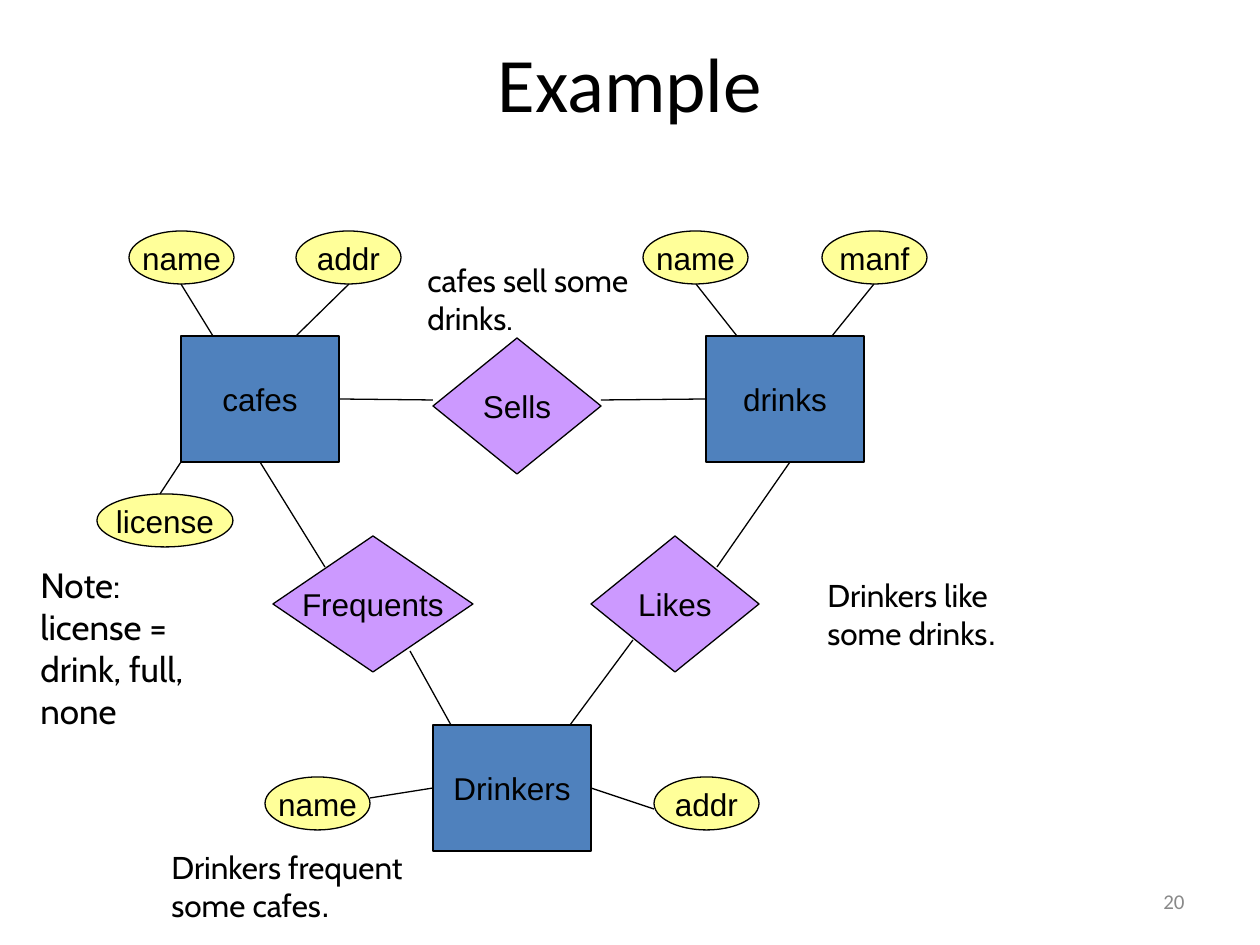
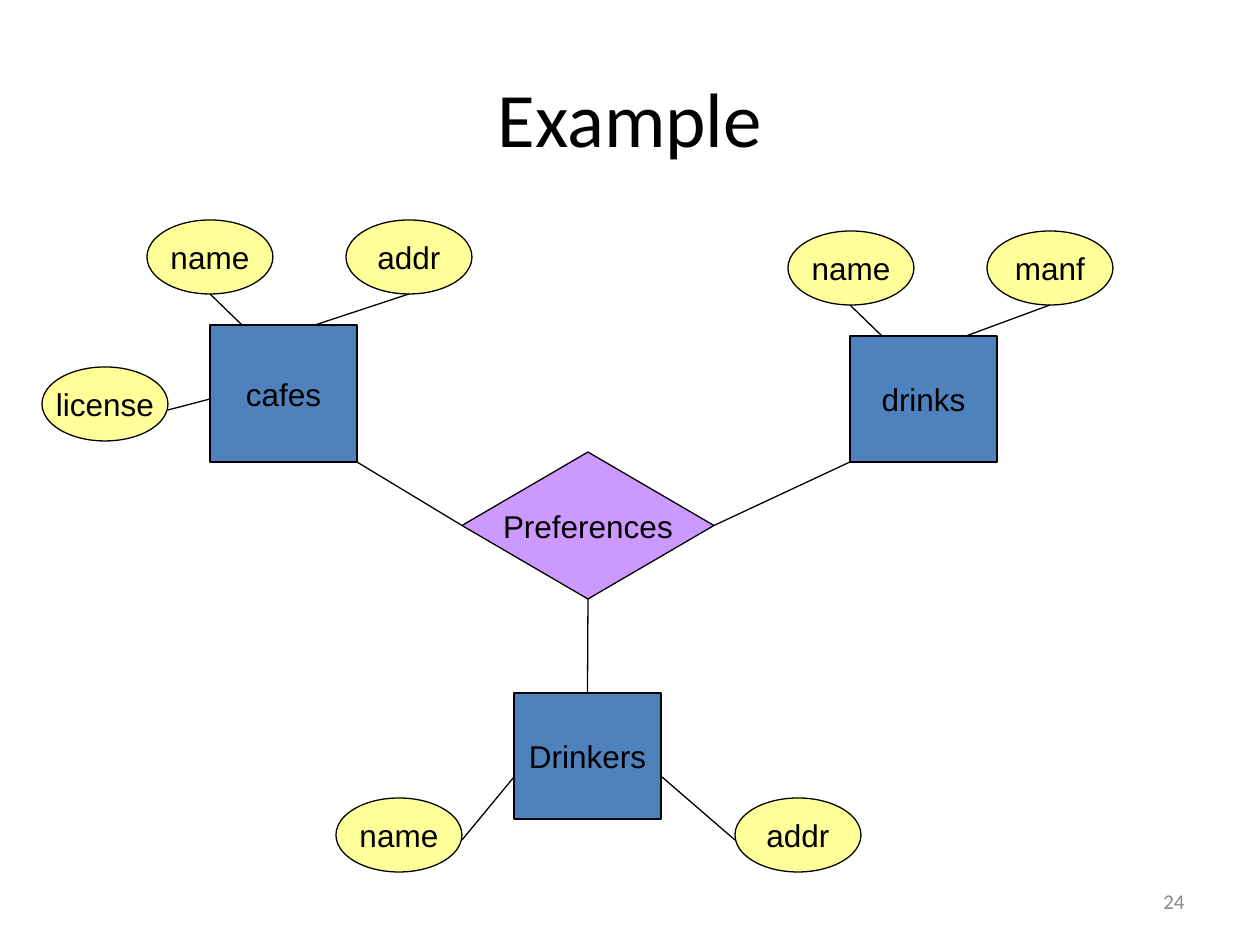
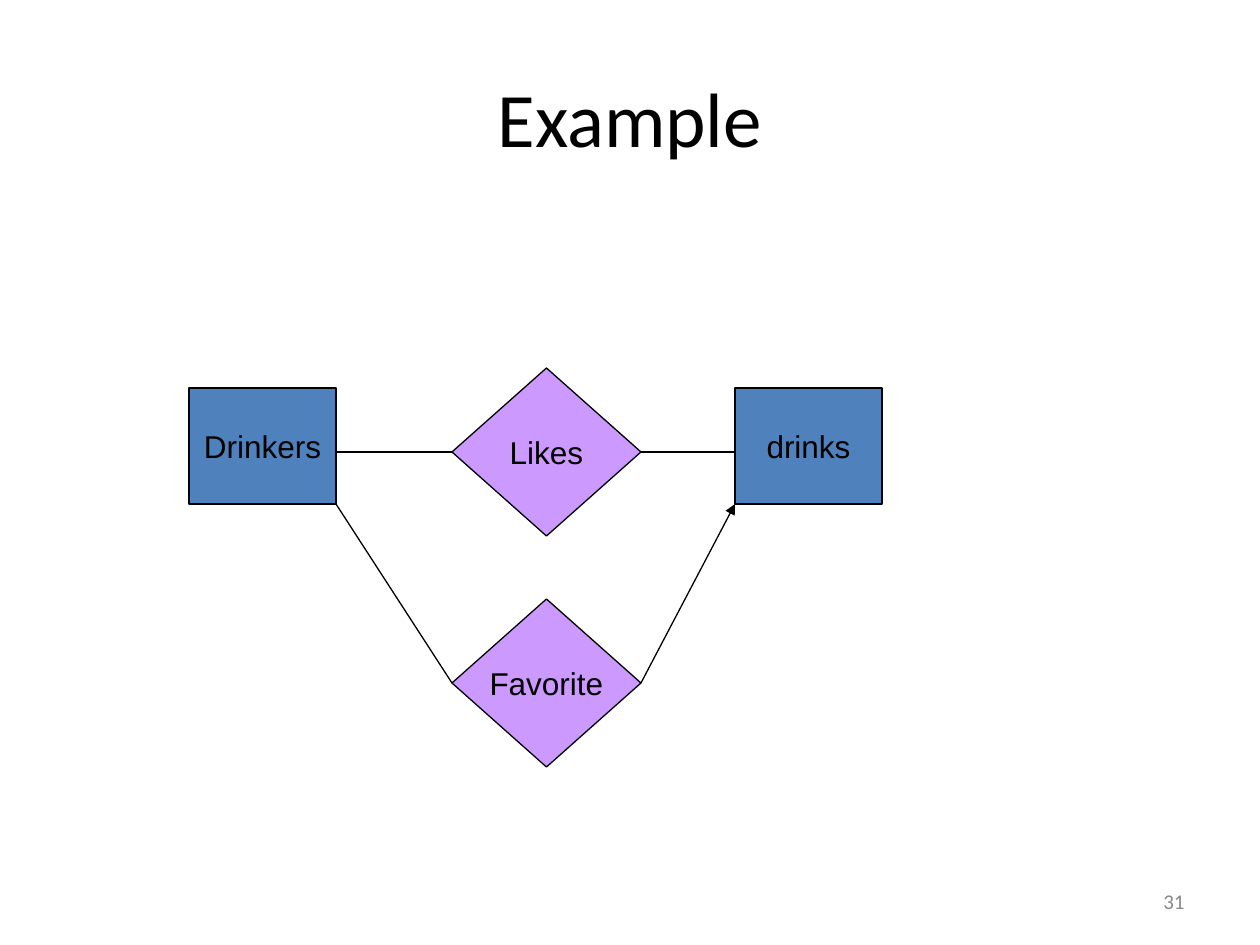
"""Build three entity-relationship example slides."""
from lxml.etree import SubElement
from pptx import Presentation
from pptx.dml.color import RGBColor
from pptx.enum.shapes import MSO_CONNECTOR as Connector, MSO_SHAPE as Shape
from pptx.enum.text import MSO_ANCHOR as Anchor, MSO_AUTO_SIZE as AutoSize, PP_ALIGN as Align
from pptx.oxml.ns import qn
from pptx.util import Emu, Pt

PX = 914400 / 126
TOP, LEFT, BOTTOM, RIGHT = range(4)
BLACK, GREY = "000000", "898989"
KINDS = {
    "entity": (Shape.RECTANGLE, "4F81BD"),
    "attribute": (Shape.OVAL, "FFFF99"),
    "relationship": (Shape.DIAMOND, "CC99FF"),
}
TITLE = {"size": 44, "fonts": ["Calibri"], "align": Align.CENTER}
NUMBER = {"size": 12, "fonts": ["Calibri"], "align": Align.RIGHT, "color": GREY}
LABEL = {"size": 18, "fonts": ["Arial"], "align": Align.CENTER}
NOTE_FONTS = ["Cabin", "Arial"]
CENTRED = {"vertical_anchor": Anchor.MIDDLE, "word_wrap": True}
NODE_FRAME = {"vertical_anchor": Anchor.MIDDLE, "word_wrap": False}
NOTE_FRAME = {"word_wrap": False, "auto_size": AutoSize.SHAPE_TO_FIT_TEXT}

SLIDES = [
    {
        "title": "Example", "title_height": 88, "number": "20",
        "nodes": [
            ("entity", (158, 126), [("Drinkers", 433, 725), ("drinks", 706, 336), ("cafes", 181, 336)]),
            ("attribute", (105, 53), [
                ("addr", 654, 777), ("name", 265, 777), ("manf", 822, 231),
                ("name", 643, 231), ("name", 129, 231), ("addr", 296, 231)]),
            ("attribute", (136, 53), [("license", 97, 494)]),
            ("relationship", (168, 136), [("Sells", 433, 338), ("Likes", 591, 536)]),
            ("relationship", (200, 136), [("Frequents", 273, 536)]),
        ],
        "links": [
            ((370, 798), ("Drinkers", LEFT)),
            ((654, 809), ("Drinkers", RIGHT)),
            ((696, 284), (737, 336)),
            ((874, 284), (832, 336)),
            ((181, 284), (213, 336)),
            ((349, 284), (296, 336)),
            ((160, 494), (181, 462)),
            ((433, 400), ("cafes", RIGHT)),
            ((601, 400), ("drinks", LEFT)),
            ((570, 725), (633, 640)),
            ((717, 567), (790, 462)),
            ((325, 567), ("cafes", BOTTOM)),
            ((451, 725), (410, 651)),
        ],
        "notes": [
            ((28, 557, 190, 181), 20, [["Note:"], ["license ="], ["drink, full,"], ["none"]]),
            ((415, 255, 248, 88), 18, [["cafes sell some"], ["drinks."]]),
            ((815, 570, 215, 88), 18, [["Drinkers like"], ["some drinks", "."]]),
            ((159, 842, 289, 88), 18, [["Drinkers frequent"], ["some cafes", "."]]),
        ],
    },
    {
        "title": "Example", "title_height": 158, "number": "24",
        "nodes": [
            ("entity", (147, 137), [("cafes", 210, 325)]),
            ("entity", (147, 126), [("drinks", 850, 336), ("Drinkers", 514, 693)]),
            ("attribute", (126, 74), [
                ("name", 147, 220), ("name", 788, 231), ("addr", 346, 220), ("manf", 987, 231),
                ("name", 336, 798), ("addr", 735, 798), ("license", 42, 367)]),
            ("relationship", (252, 147), [("Preferences", 462, 452)]),
        ],
        "links": [
            ((168, 410), (210, 399)),
            ((210, 294), (242, 325)),
            ((409, 294), (315, 325)),
            ((462, 840), (514, 777)),
            ((735, 840), (662, 777)),
            ((850, 305), (882, 336)),
            ((1050, 305), (966, 336)),
            (("Preferences", LEFT), (357, 462)),
            (("Preferences", BOTTOM), ("Drinkers", TOP)),
            (("Preferences", RIGHT), (850, 462)),
        ],
    },
    {
        "title": "Example", "title_height": 158, "number": "31",
        "nodes": [
            ("entity", (147, 116), [("Drinkers", 189, 388), ("drinks", 735, 388)]),
            ("relationship", (189, 168), [("Likes", 452, 368), ("Favorite", 452, 599)]),
        ],
        "links": [
            ((336, 452), ("Likes", LEFT)),
            (("Likes", RIGHT), (735, 452)),
            ((336, 504), ("Favorite", LEFT)),
        ],
        "arrows": [(("Favorite", RIGHT), (735, 504))],
    },
]


def px(*lengths):
    return [Emu(round(length * PX)) for length in lengths]


def rgb(color):
    return RGBColor.from_string(color)


def outline(line):
    line.color.rgb = rgb(BLACK)
    line.width = Pt(0.75)


def write(box, lines, frame_format, size, fonts, align=Align.LEFT, color=BLACK):
    frame = box.text_frame
    for name, value in frame_format.items():
        setattr(frame, name, value)
    for index, texts in enumerate(lines):
        para = frame.add_paragraph() if index else frame.paragraphs[0]
        para.alignment = align
        for text, font in zip(texts, fonts):
            span = para.add_run()
            span.text = text
            for name, value in {"size": Pt(size), "name": font}.items():
                setattr(span.font, name, value)
            span.font.color.rgb = rgb(color)


def add_text(page, area, lines, frame_format, **style):
    write(page.shapes.add_textbox(*px(*area)), lines, frame_format, **style)


def add_node(page, kind, label, area):
    preset, color = KINDS[kind]
    node = page.shapes.add_shape(preset, *px(*area))
    node.shadow.inherit = False
    node.fill.solid()
    node.fill.fore_color.rgb = rgb(color)
    outline(node.line)
    write(node, [[label]], NODE_FRAME, **LABEL)
    return node


def add_link(page, nodes, start, end, arrow=False):
    points = [(0, 0) if spot[0] in nodes else spot for spot in (start, end)]
    link = page.shapes.add_connector(Connector.STRAIGHT, *px(*points[0], *points[1]))
    for spot, connect in ((start, link.begin_connect), (end, link.end_connect)):
        if spot[0] in nodes:
            connect(nodes[spot[0]], spot[1])
    outline(link.line)
    properties = link._element.spPr
    if arrow:
        SubElement(properties.find(qn("a:ln")), qn("a:tailEnd"), type="triangle")
    SubElement(properties, qn("a:effectLst"))


def add_page(deck, content):
    page = deck.slides.add_slide(deck.slide_layouts[6])
    add_text(page, (903, 876, 294, 50), [[content["number"]]], CENTRED, **NUMBER)
    add_text(page, (63, 38, 1134, content["title_height"]), [[content["title"]]], CENTRED, **TITLE)
    nodes = {}
    for kind, size, places in content["nodes"]:
        for label, left, top in places:
            nodes[label] = add_node(page, kind, label, (left, top, *size))
    for start, end in content["links"]:
        add_link(page, nodes, start, end)
    for start, end in content.get("arrows", []):
        add_link(page, nodes, start, end, arrow=True)
    for area, size, lines in content.get("notes", []):
        add_text(page, area, lines, NOTE_FRAME, size=size, fonts=NOTE_FONTS)


def main():
    deck = Presentation()
    deck.slide_width, deck.slide_height = px(1260, 945)
    for content in SLIDES:
        add_page(deck, content)
    deck.save("out.pptx")


if __name__ == "__main__":
    main()
